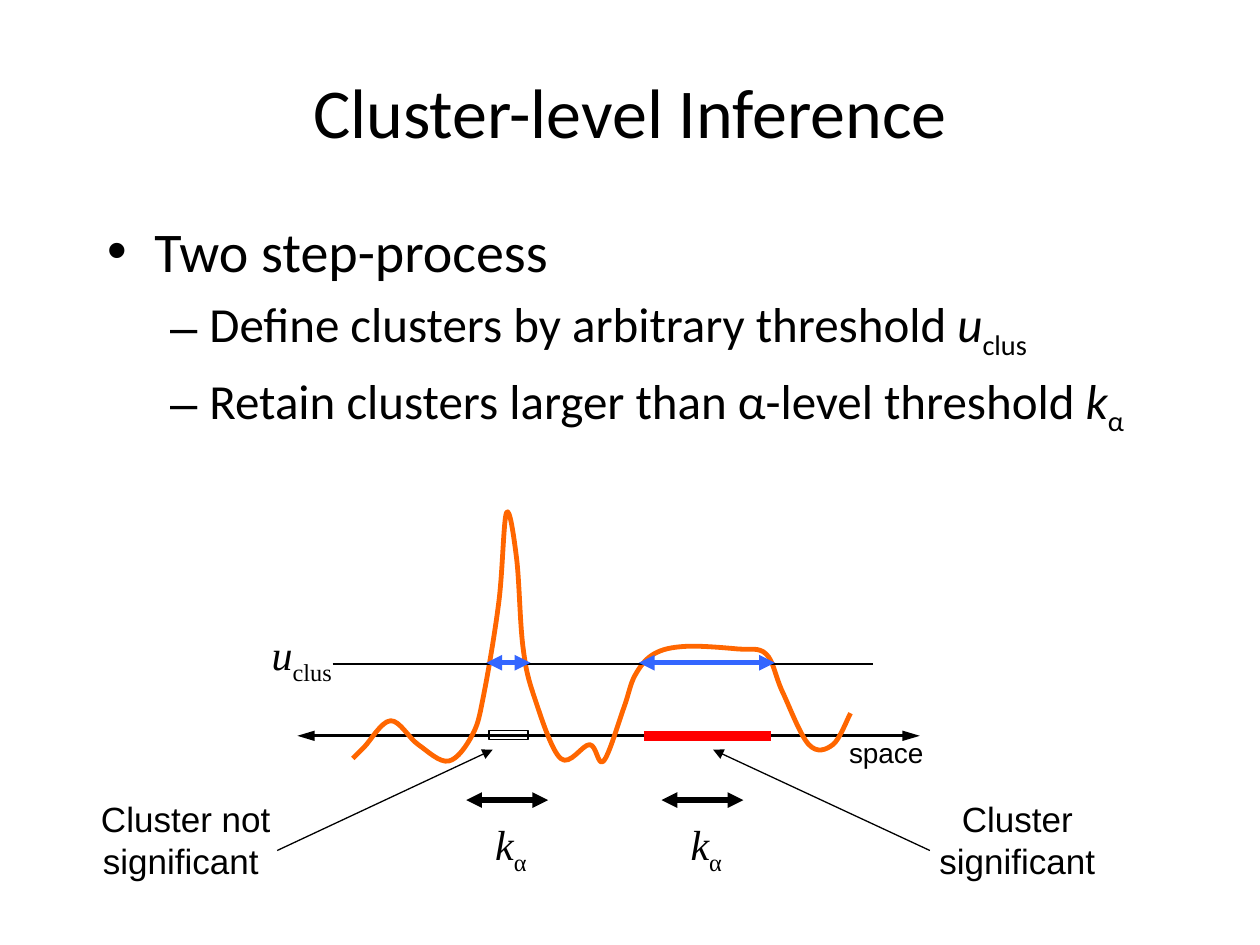
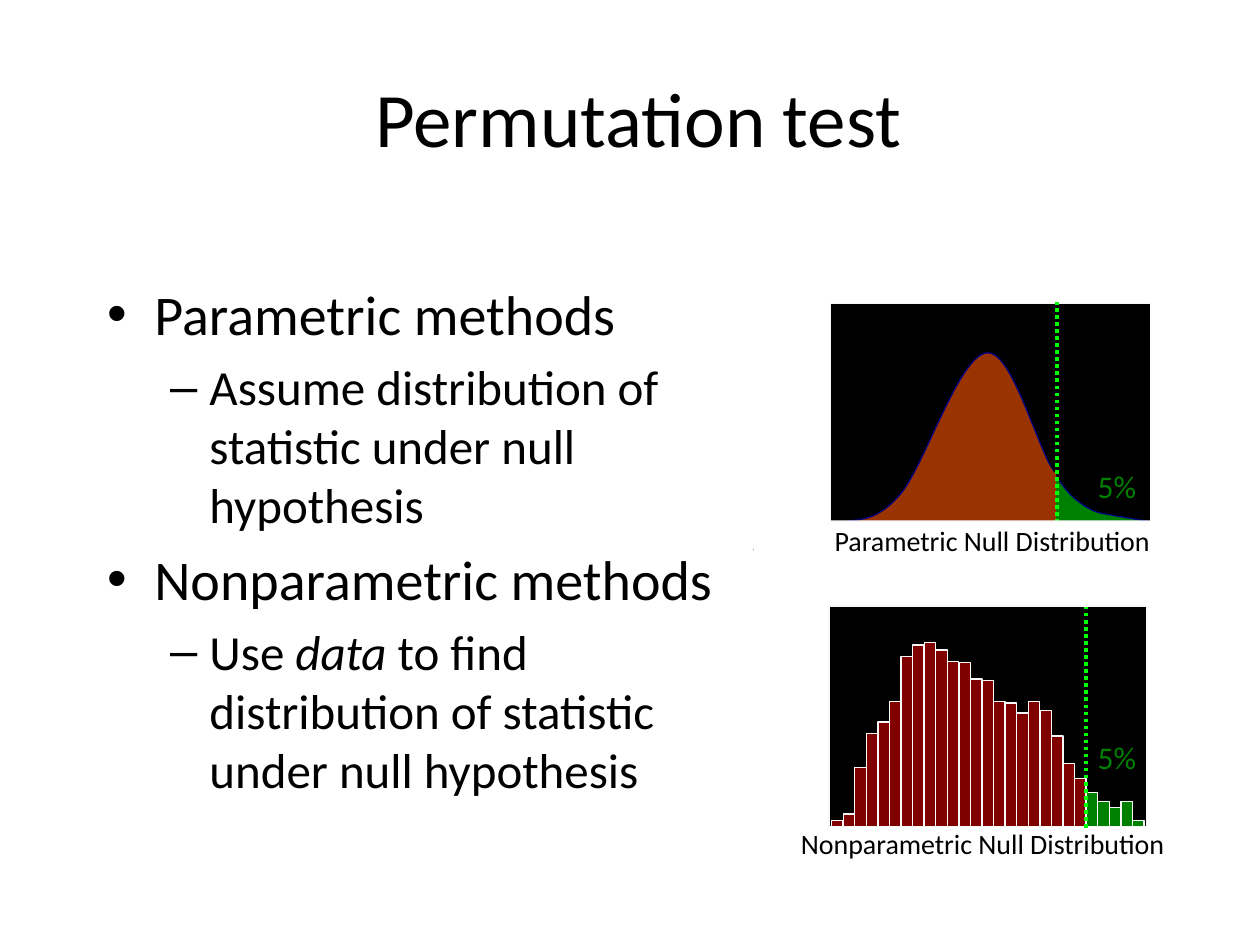
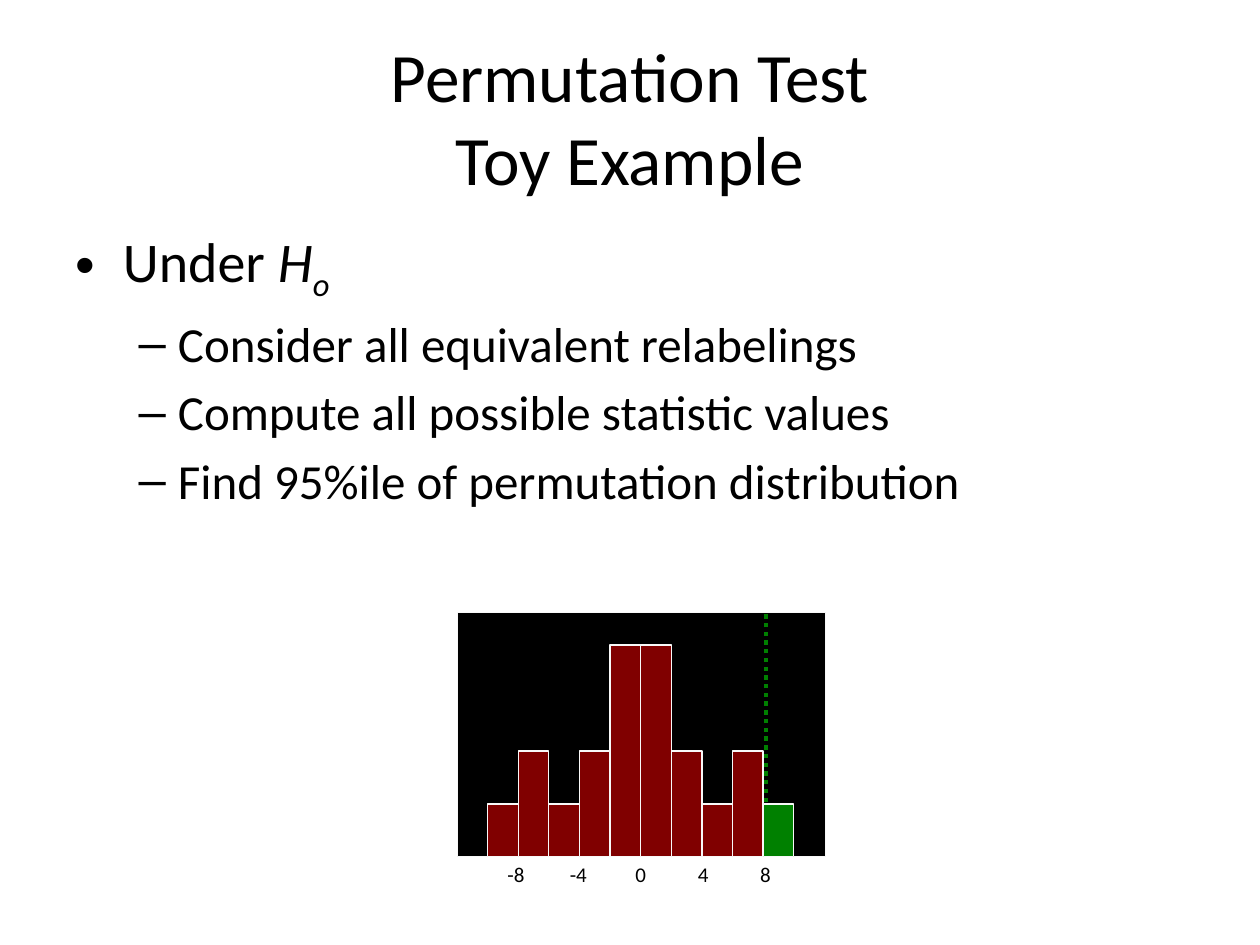
from dataclasses import dataclass

import lxml.etree
import pptx
import pptx.dml.color
import pptx.enum.dml
import pptx.enum.shapes
import pptx.enum.text
import pptx.oxml.ns
import pptx.util

Inches = pptx.util.Inches
Shape = pptx.enum.shapes.MSO_SHAPE
Align = pptx.enum.text.PP_ALIGN
AutoSize = pptx.enum.text.MSO_AUTO_SIZE
qn = pptx.oxml.ns.qn


@dataclass(frozen=True)
class Theme:
    text_font: str = "Calibri"
    label_font: str = "Arial"
    symbol_font: str = "Times New Roman"
    black: str = "000000"
    white: str = "FFFFFF"
    outline: str = "F8F8F8"
    signal: str = "FF6600"
    extent: str = "3366FF"
    significant: str = "FF0000"
    null_curve: str = "993300"
    curve_edge: str = "000080"
    null_bar: str = "800000"
    tail: str = "008000"
    cutoff: str = "00FF00"
    title: float = 40
    large_title: float = 44
    two_line_title: float = 39.6
    body: tuple = (32, 28)
    symbol: float = 24
    label: float = 20
    percent: float = 18
    caption: float = 16
    tick: float = 12
    hairline: float = 0.75


THEME = Theme()

SIGNAL_POINTS = [
    (2.8, 6.02), (2.89, 5.93), (3.1, 5.72), (3.32, 5.91), (3.56, 6.04),
    (3.75, 5.83), (3.84, 5.51), (3.96, 4.77), (4.02, 4.07), (4.1, 4.43),
    (4.15, 5.13), (4.24, 5.53), (4.45, 6.02), (4.68, 5.91), (4.79, 6.04),
    (4.95, 5.62), (5.04, 5.36), (5.19, 5.19), (5.44, 5.13), (5.85, 5.15),
    (6.08, 5.19), (6.21, 5.49), (6.42, 5.91), (6.61, 5.91), (6.75, 5.66),
]
BELL_POINTS = [
    (6.16, 4.15), (6.65, 4.15), (7.14, 3.93), (7.84, 2.8), (8.48, 3.93),
    (9.18, 4.15), (9.53, 4.15), (9.53, 4.3), (9.46, 4.38), (9.32, 4.38),
    (6.23, 4.38), (6.16, 4.3), (6.09, 4.15),
]
TAIL_POINTS = [
    (8.05, 3.56), (8.23, 3.64), (8.34, 3.73), (8.5, 3.93), (8.67, 4.05),
    (8.83, 4.09), (9.06, 4.13), (9.19, 4.16), (9.26, 4.26), (9.23, 4.37),
    (8.83, 4.37), (7.81, 4.24), (7.8, 3.85), (7.8, 3.58),
]
NULL_HEIGHTS = [
    0.05, 0.1, 0.47, 0.74, 0.83, 0.99, 1.35, 1.44, 1.46, 1.4, 1.31, 1.3, 1.17, 1.16,
    0.99, 0.98, 0.9, 0.99, 0.92, 0.72, 0.5, 0.38, 0.27, 0.2, 0.15, 0.2, 0.05,
]
TOY_COUNTS = [1, 2, 1, 2, 4, 4, 2, 1, 2, 1]


def rgb(color):
    return pptx.dml.color.RGBColor.from_string(color)


def write_runs(paragraph, runs):
    """Write a string or (text, style) pairs; style holds i for italic, _ for subscript."""
    for text, style in [(runs, "")] if isinstance(runs, str) else runs:
        for number, line in enumerate(text.split("\n")):
            if number:
                paragraph.add_line_break()
            run = paragraph.add_run()
            run.text = line
            if "i" in style:
                run.font.italic = True
            if "_" in style:
                run.font._element.set("baseline", "-25000")


def format_paragraph(paragraph, size, font=THEME.text_font, color=THEME.black):
    paragraph.font.size = pptx.util.Pt(size)
    paragraph.font.name = font
    paragraph.font.color.rgb = rgb(color)


def place(shape, box):
    shape.left, shape.top, shape.width, shape.height = map(Inches, box)


def add_content_slide(prs, title, title_box, title_size, items, body_box):
    """Items are (level, runs) pairs."""
    slide = prs.slides.add_slide(prs.slide_layouts[1])
    heading, body = slide.shapes.title, slide.placeholders[1]
    place(heading, title_box)
    place(body, body_box)
    for holder in (heading, body):
        holder.text_frame.auto_size = AutoSize.NONE

    title_line = heading.text_frame.paragraphs[0]
    write_runs(title_line, title)
    format_paragraph(title_line, title_size)
    for number, (level, runs) in enumerate(items):
        frame = body.text_frame
        item = frame.add_paragraph() if number else frame.paragraphs[0]
        item.level = level
        write_runs(item, runs)
        format_paragraph(item, THEME.body[level])
    return slide


def add_label(shapes, box, runs, size, font=THEME.text_font, color=THEME.black,
              align=Align.CENTER, wrap=True):
    label = shapes.add_textbox(*map(Inches, box))
    label.text_frame.word_wrap = wrap
    label.text_frame.auto_size = AutoSize.SHAPE_TO_FIT_TEXT
    paragraph = label.text_frame.paragraphs[0]
    paragraph.alignment = align
    write_runs(paragraph, runs)
    format_paragraph(paragraph, size, font, color)


def paint(shape, fill, line, width=THEME.hairline):
    shape.shadow.inherit = False
    if fill:
        shape.fill.solid()
        shape.fill.fore_color.rgb = rgb(fill)
    else:
        shape.fill.background()
    if line:
        shape.line.color.rgb = rgb(line)
        shape.line.width = pptx.util.Pt(width)
    else:
        shape.line.fill.background()


def add_block(shapes, box, fill=None, line=None, preset=Shape.RECTANGLE):
    paint(shapes.add_shape(preset, *map(Inches, box)), fill, line)


def add_line(shapes, start, end, color=THEME.black, width=THEME.hairline, arrows="",
             arrow_length="med", dotted=False):
    """Arrows may hold "head" (at start) and "tail" (at end)."""
    connector = shapes.add_connector(
        pptx.enum.shapes.MSO_CONNECTOR.STRAIGHT, *map(Inches, start + end))
    connector.line.color.rgb = rgb(color)
    connector.line.width = pptx.util.Pt(width)
    if dotted:
        connector.line.dash_style = pptx.enum.dml.MSO_LINE.ROUND_DOT
    for tip in arrows.split():
        lxml.etree.SubElement(connector.line._ln, qn(f"a:{tip}End"),
                              type="triangle", len=arrow_length)
    lxml.etree.SubElement(connector._element.spPr, qn("a:effectLst"))


def bezier_points(points, closed):
    """Give two control points and an end point for each stretch of a smooth curve."""
    if closed:
        padded = [points[-1], *points, *points[:2]]
    else:
        padded = [points[0], *points, points[-1]]
    for before, start, end, after in zip(padded, padded[1:], padded[2:], padded[3:]):
        yield tuple(s + (e - b) / 6 for b, s, e in zip(before, start, end))
        yield tuple(e - (a - s) / 6 for s, e, a in zip(start, end, after))
        yield end


def add_curve(shapes, points, line, width=THEME.hairline, fill=None):
    """Draw a smooth curve through the points, closed if it has a fill."""
    closed = fill is not None
    builder = shapes.build_freeform(*map(Inches, points[0]))
    builder.add_line_segments(
        [tuple(map(Inches, point)) for point in bezier_points(points, closed)], close=closed)
    curve = builder.convert_to_shape()
    segments = list(curve._element.iter(qn("a:lnTo")))
    for first, second, last in zip(segments[::3], segments[1::3], segments[2::3]):
        bezier = lxml.etree.Element(qn("a:cubicBezTo"))
        first.addprevious(bezier)
        for segment in (first, second, last):
            bezier.append(segment[0])
            segment.getparent().remove(segment)
    paint(curve, fill, line, width)


def add_bars(shapes, left, base, total_width, heights, tail_count):
    """Draw touching bars, the last tail_count of them in the tail colour."""
    width = total_width / len(heights)
    for number, height in enumerate(heights):
        in_tail = number >= len(heights) - tail_count
        add_block(shapes, (left + number * width, base - height, width, height),
                  THEME.tail if in_tail else THEME.null_bar, THEME.outline)


def add_percent(shapes, top):
    add_label(shapes, (8.48, top, 0.77, 0.4), "5%", THEME.percent, color=THEME.tail)


def add_verdict(shapes, left, verdict, start, end):
    add_label(shapes, (left, 6.28, 2.23, 0.77), verdict, THEME.label, THEME.label_font)
    add_line(shapes, start, end, arrows="tail")


def add_symbol(shapes, left, top, letter, subscript):
    add_label(shapes, (left, top, 0.83, 0.5), [(letter, "i"), (subscript, "_")],
              THEME.symbol, THEME.symbol_font)


def build_cluster_slide(prs):
    slide = add_content_slide(
        prs, "Cluster-level Inference", (0.75, 0.25, 8.5, 1.25), THEME.title,
        [(0, "Two step-process"),
         (1, [("Define clusters by arbitrary threshold ", ""), ("u", "i"), ("clus", "_")]),
         (1, [("Retain clusters larger than α-level threshold ", ""), ("k", "i"), ("α", "_")])],
        (0.75, 1.67, 8.5, 2.71))
    shapes = slide.shapes
    both = "head tail"

    add_verdict(shapes, 0.36, "Cluster not significant ", (2.2, 6.75), (3.91, 5.95))
    add_line(shapes, (2.36, 5.84), (7.3, 5.84), width=1.75, arrows=both, arrow_length="lg")
    add_curve(shapes, SIGNAL_POINTS, THEME.signal, 2.75)
    add_line(shapes, (2.64, 5.27), (6.93, 5.27))
    add_symbol(shapes, 1.98, 4.94, "u", "clus")
    add_label(shapes, (6.64, 5.79, 1.36, 0.37), "space", THEME.caption,
              THEME.label_font, align=Align.LEFT)
    for right, left in ((4.21, 3.86), (6.15, 5.07)):
        add_line(shapes, (right, 5.26), (left, 5.26), THEME.extent, 3, both)
    add_verdict(shapes, 6.96, "Cluster significant", (7.38, 6.75), (5.66, 5.95))
    add_line(shapes, (5.11, 5.84), (6.12, 5.84), THEME.significant, 6)
    for left in (3.7, 5.25):
        add_line(shapes, (left, 6.35), (left + 0.65, 6.35), width=3, arrows=both)
        add_symbol(shapes, left - 0.06, 6.45, "k", "α")
    add_block(shapes, (3.88, 5.8, 0.31, 0.07), line=THEME.black)


def add_parametric_null(shapes):
    add_block(shapes, (6.59, 2.41, 2.54, 1.75), THEME.black, THEME.outline)
    add_curve(shapes, BELL_POINTS, THEME.curve_edge, fill=THEME.null_curve)
    add_percent(shapes, 3.66)
    add_curve(shapes, TAIL_POINTS, THEME.curve_edge, fill=THEME.tail)
    # Cover the part of the tail area left of the cutoff.
    add_block(shapes, (7.68, 3.75, 0.7, 0.64), THEME.null_curve)
    add_block(shapes, (8, 3.18, 0.39, 0.61), THEME.null_curve, preset=Shape.RIGHT_TRIANGLE)
    add_line(shapes, (8.39, 4.15), (8.39, 2.4), THEME.cutoff, 2, dotted=True)
    add_block(shapes, (7.7, 3.49, 0.38, 0.34), THEME.null_curve)
    # Trim both areas at the baseline.
    add_block(shapes, (5.98, 4.13, 3.77, 0.27), THEME.white)
    add_line(shapes, (9.12, 4.14), (6.59, 4.14), THEME.outline)
    add_label(shapes, (6.25, 4.11, 3.25, 0.37), "Parametric Null Distribution", THEME.caption)


def add_nonparametric_null(shapes):
    add_block(shapes, (6.58, 4.81, 2.52, 1.75), THEME.black, THEME.outline)
    add_bars(shapes, 6.6, 6.56, 2.48, NULL_HEIGHTS, tail_count=5)
    add_line(shapes, (8.62, 6.57), (8.62, 4.82), THEME.cutoff, 2, dotted=True)
    add_percent(shapes, 5.81)


def build_permutation_slide(prs):
    slide = add_content_slide(
        prs, " Permutation test", (0.5, 0.3, 9, 1.25), THEME.large_title,
        [(0, "Parametric methods"),
         (1, "Assume distribution of\nstatistic under null\nhypothesis"),
         (0, "Nonparametric methods"),
         (1, [("Use ", ""), ("data", "i"),
              (" to find \ndistribution of statistic\nunder null hypothesis", "")])],
        (0.75, 2.17, 8.5, 4.87))
    add_parametric_null(slide.shapes.add_group_shape().shapes)
    add_nonparametric_null(slide.shapes.add_group_shape().shapes)
    add_label(slide.shapes, (5.78, 6.51, 4.04, 0.37), "Nonparametric Null Distribution",
              THEME.caption)


def build_toy_slide(prs):
    slide = add_content_slide(
        prs, "Permutation Test\nToy Example", (0.5, 0.3, 9, 1.25), THEME.two_line_title,
        [(0, [("Under ", ""), ("H", "i"), ("o", "i_")]),
         (1, "Consider all equivalent relabelings"),
         (1, "Compute all possible statistic values"),
         (1, "Find 95%ile of permutation distribution")],
        (0.5, 1.75, 9, 4.95))
    histogram = slide.shapes.add_group_shape().shapes
    add_block(histogram, (3.63, 4.86, 2.92, 1.94), THEME.black, THEME.outline)
    add_bars(histogram, 3.87, 6.8, 2.43, [0.42 * count for count in TOY_COUNTS], tail_count=1)
    for value in range(-8, 9, 4):
        add_label(histogram, (4.91 + value * 0.99 / 8, 6.79, 0.35, 0.3), str(value),
                  THEME.tick, wrap=False)
    add_line(histogram, (6.08, 6.78), (6.08, 4.86), THEME.tail, 2.5, dotted=True)


def main():
    prs = pptx.Presentation()
    prs.slide_width, prs.slide_height = Inches(10), Inches(7.5)
    build_cluster_slide(prs)
    build_permutation_slide(prs)
    build_toy_slide(prs)
    prs.save("out.pptx")


if __name__ == "__main__":
    main()
